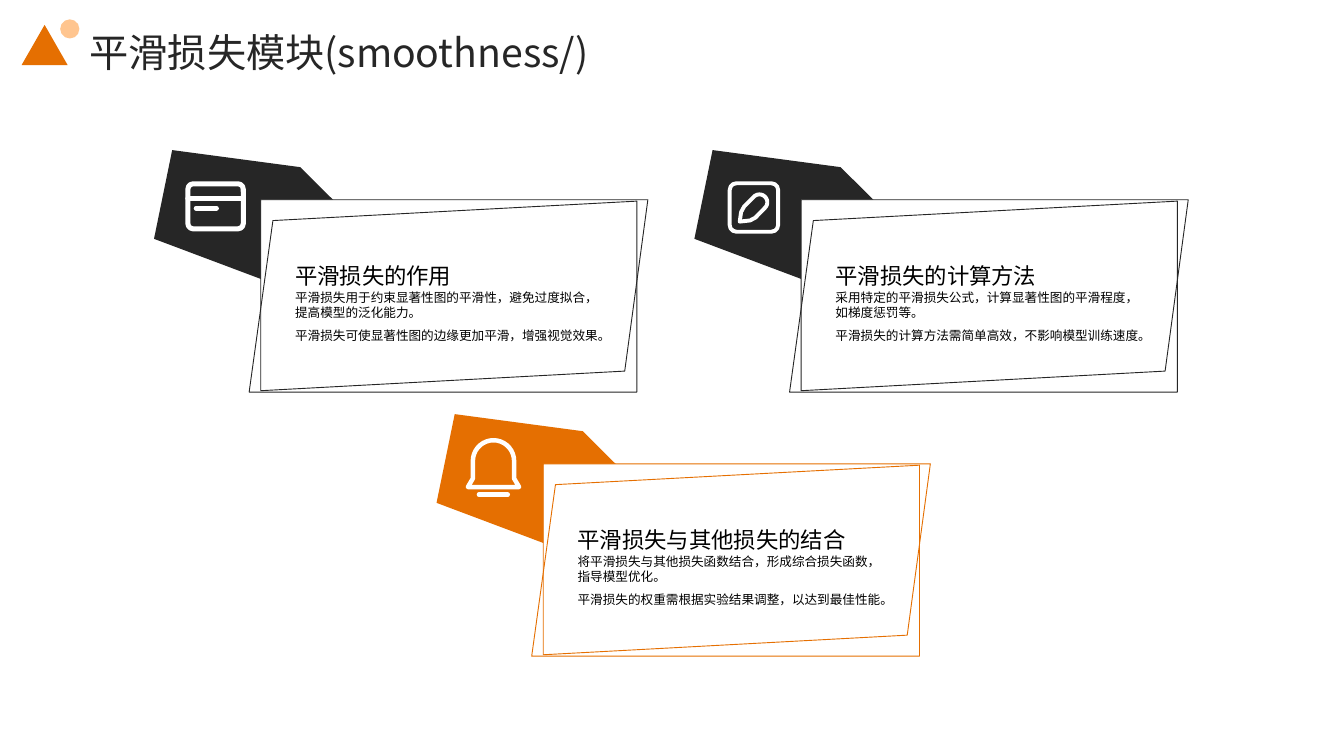
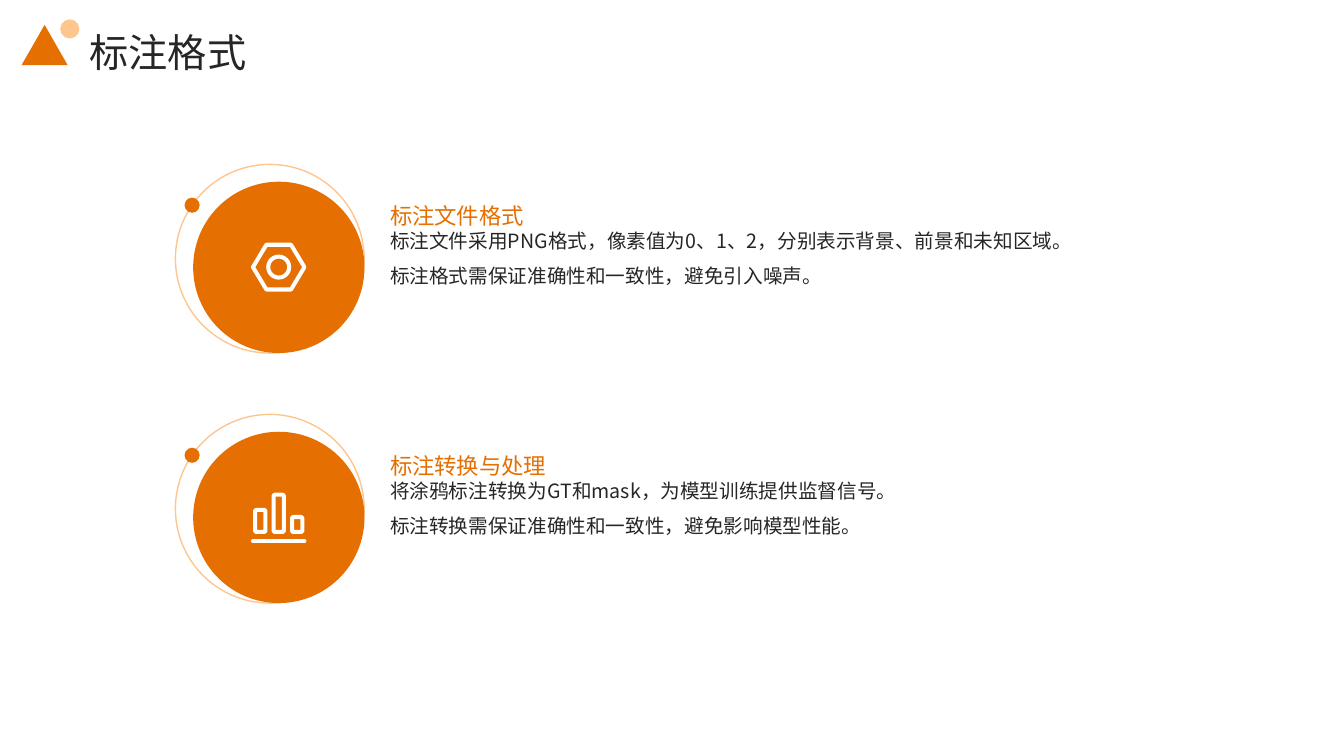
from math import cos, radians, sin

from lxml import etree
from pptx import Presentation
from pptx.dml.color import RGBColor
from pptx.enum import shapes, text
from pptx.oxml import ns
from pptx.util import Pt

COLORS = {
    "dark": "262626",
    "orange": "E56F01",
    "peach": "FFC58F",
    "white": "FFFFFF",
    "black": "000000",
}
FONT = "Noto Sans CJK SC"
TITLE_ONLY, COMPARISON = 5, 4
PRESET = shapes.MSO_SHAPE


def rgb(color):
    return RGBColor.from_string(COLORS[color])


def points(*values):
    return [Pt(value) for value in values]


def paint(shape, fill, line, width):
    shape.shadow.inherit = False
    if fill:
        shape.fill.solid()
        shape.fill.fore_color.rgb = rgb(fill)
    else:
        shape.fill.background()
    if line:
        shape.line.color.rgb = rgb(line)
        shape.line.width = Pt(width)
    else:
        shape.line.fill.background()


def add_preset(slide, preset, box, fill=None, line=None, width=1, adjust=None):
    shape = slide.shapes.add_shape(preset, *points(*box))
    if adjust is not None:
        shape.adjustments[0] = adjust
    paint(shape, fill, line, width)


def add_outline(slide, left, top, vertices, fill=None, line=None, width=1):
    path = [(Pt(left + x), Pt(top + y)) for x, y in vertices]
    builder = slide.shapes.build_freeform(*path[0])
    builder.add_line_segments(path[1:], close=True)
    paint(builder.convert_to_shape(), fill, line, width)


def add_stroke(slide, left, right, y, width):
    stroke = slide.shapes.add_connector(
        shapes.MSO_CONNECTOR.STRAIGHT, *points(left, y, right, y))
    stroke.line.color.rgb = rgb("white")
    stroke.line.width = Pt(width)
    stroke.line._get_or_add_ln().set("cap", "rnd")
    etree.SubElement(stroke._element.spPr, ns.qn("a:effectLst"))


def arc(x, y, radius, start, end, step=10):
    return [(x + radius * cos(radians(angle)), y + radius * sin(radians(angle)))
            for angle in range(start, end + 1, step)]


def write(shape, box, lines, size, color, spacings, anchor):
    shape.left, shape.top, shape.width, shape.height = points(*box)
    frame = shape.text_frame
    frame.word_wrap = True
    frame.auto_size = text.MSO_AUTO_SIZE.NONE
    frame.vertical_anchor = anchor
    frame.margin_left = frame.margin_right = 0
    frame.margin_top = frame.margin_bottom = 0
    for index, (line, spacing) in enumerate(zip(lines, spacings)):
        paragraph = frame.add_paragraph() if index else frame.paragraphs[0]
        properties = paragraph._p.get_or_add_pPr()
        properties.set("marL", "0")
        properties.set("indent", "0")
        etree.SubElement(properties, ns.qn("a:buNone"))
        paragraph.alignment = text.PP_ALIGN.LEFT
        paragraph.space_before = paragraph.space_after = Pt(0)
        paragraph.line_spacing = spacing
        run = paragraph.add_run()
        run.text = line
        run.font.name = FONT
        run.font.size = Pt(size)
        run.font.bold = False
        run.font.color.rgb = rgb(color)
        east_asian = etree.SubElement(run._r.get_or_add_rPr(), ns.qn("a:ea"))
        east_asian.set("typeface", FONT)


def write_heading(shape, box, heading, color):
    write(shape, box, [heading], 16, color, [1.3], text.MSO_ANCHOR.BOTTOM)


def write_body(shape, box, lines, size, color):
    write(shape, box, lines, size, color, [1.0, 1.5], text.MSO_ANCHOR.TOP)


def add_titled_slide(deck, layout, title):
    slide = deck.slides.add_slide(deck.slide_layouts[layout])
    write(slide.shapes.title, (64, 10.8, 817, 42.5), [title], 28, "dark",
          [1.3], text.MSO_ANCHOR.MIDDLE)
    add_preset(slide, PRESET.ISOSCELES_TRIANGLE, (15.4, 17.8, 33, 28.8), "orange")
    add_preset(slide, PRESET.OVAL, (43, 13.8, 13.7, 13.7), "peach")
    return slide


def draw_window(slide, left, top):
    add_preset(slide, PRESET.ROUNDED_RECTANGLE, (left + 1.8, top + 1.8, 39.6, 32.2),
               line="white", width=3.6, adjust=0.12)
    add_stroke(slide, left + 1.8, left + 41.4, top + 12, 3.6)
    add_stroke(slide, left + 7.8, left + 22.2, top + 19.2, 3.6)


def draw_pencil(slide, left, top):
    add_preset(slide, PRESET.ROUNDED_RECTANGLE, (left + 1.4, top + 1.4, 34.6, 34.6),
               line="white", width=2.8, adjust=0.14)
    barrel = [(8.6, 28.8), (9.6, 22), (11.8, 18), *arc(22.7, 15, 5.6, 225, 405),
              (19.8, 26), (16, 28)]
    add_outline(slide, left, top, barrel, line="white", width=2.8)


def draw_bell(slide, left, top):
    dome = [*arc(20.1, 16.6, 14.7, 180, 360), (34.8, 29.2), (38.4, 35.3),
            (1.8, 35.3), (5.4, 29.2)]
    add_outline(slide, left, top, dome, line="white", width=3.2)
    add_stroke(slide, left + 9.7, left + 30.3, top + 40.7, 3.2)


def draw_nut(slide, left, top):
    add_preset(slide, PRESET.HEXAGON, (left + 1.4, top + 1.4, 36.8, 32),
               line="white", width=2.9, adjust=0.3)
    add_preset(slide, PRESET.OVAL, (left + 12.3, top + 9.9, 15, 15),
               line="white", width=2.9)


def draw_bars(slide, left, top):
    for index, bar_top in enumerate((12.2, 1.4, 17.3)):
        add_preset(slide, PRESET.ROUNDED_RECTANGLE,
                   (left + 2.9 + 13.2 * index, top + bar_top, 7.4, 28 - bar_top),
                   line="white", width=2.9, adjust=0.15)
    add_stroke(slide, left + 1.4, left + 38.2, top + 34.6, 2.9)


def add_card(slide, left, top, color, draw_icon, icon_x, icon_y, heading, lines):
    add_outline(slide, left, top, [(0, 63.4), (251, 157.7), (104.4, 12.2), (13, 0)],
                color)
    add_outline(slide, left + 76.3, top + 35.5,
                [(260, 122.4), (0, 136.4), (0, 0), (276.5, 0)],
                "white", color, 0.65)
    add_outline(slide, left + 68, top + 36.5,
                [(17, 13.9), (277, 0), (277, 136.4), (0, 136.4)],
                line=color, width=0.65)
    draw_icon(slide, left + icon_x, top + icon_y)
    for offset, height, fill_in in (
            (54.5, 44.6, lambda box, area: write_heading(box, area, heading, "black")),
            (100, 54.7, lambda box, area: write_body(box, area, lines, 9, "black"))):
        area = (left + 100.8, top + offset, 220.3, height)
        fill_in(slide.shapes.add_textbox(*points(*area)), area)


def add_section(slide, top, draw_icon, heading_holder, body_holder, heading, lines):
    add_preset(slide, PRESET.OVAL, (125.3, top, 134.8, 134.8), "white", "peach", 1)
    add_preset(slide, PRESET.OVAL, (138, top + 12.4, 122.4, 122.4), "orange")
    add_preset(slide, PRESET.OVAL, (131.8, top + 23.8, 10.8, 10.8), "orange")
    draw_icon(slide, 179.3, top + 56)
    write_heading(heading_holder, (278.6, top + 12.2, 555, 33.8), heading, "orange")
    write_body(body_holder, (278.6, top + 46, 555, 77.8), lines, 14, "dark")


def build_smoothness(deck):
    slide = add_titled_slide(deck, TITLE_ONLY, "平滑损失模块(smoothness/)")
    cards = [
        (110, 107.2, "dark", draw_window, 22.4, 22.3, "平滑损失的作用",
         ["平滑损失用于约束显著性图的平滑性，避免过度拟合，提高模型的泛化能力。",
          "平滑损失可使显著性图的边缘更加平滑，增强视觉效果。"]),
        (496, 107.2, "dark", draw_pencil, 23.8, 22.3, "平滑损失的计算方法",
         ["采用特定的平滑损失公式，计算显著性图的平滑程度，如梯度惩罚等。",
          "平滑损失的计算方法需简单高效，不影响模型训练速度。"]),
        (311.8, 295.8, "orange", draw_bell, 20.6, 16.8, "平滑损失与其他损失的结合",
         ["将平滑损失与其他损失函数结合，形成综合损失函数，指导模型优化。",
          "平滑损失的权重需根据实验结果调整，以达到最佳性能。"]),
    ]
    for card in cards:
        add_card(slide, *card)


def build_annotation(deck):
    slide = add_titled_slide(deck, COMPARISON, "标注格式")
    sections = [
        (draw_nut, "标注文件格式",
         ["标注文件采用PNG格式，像素值为0、1、2，分别表示背景、前景和未知区域。",
          "标注格式需保证准确性和一致性，避免引入噪声。"]),
        (draw_bars, "标注转换与处理",
         ["将涂鸦标注转换为GT和mask，为模型训练提供监督信号。",
          "标注转换需保证准确性和一致性，避免影响模型性能。"]),
    ]
    for index, (draw_icon, heading, lines) in enumerate(sections):
        add_section(slide, 117.4 + 178.6 * index, draw_icon,
                    slide.placeholders[2 * index + 1],
                    slide.placeholders[2 * index + 2], heading, lines)


def main():
    deck = Presentation()
    deck.slide_width, deck.slide_height = points(960, 540)
    build_smoothness(deck)
    build_annotation(deck)
    deck.save("out.pptx")


if __name__ == "__main__":
    main()
